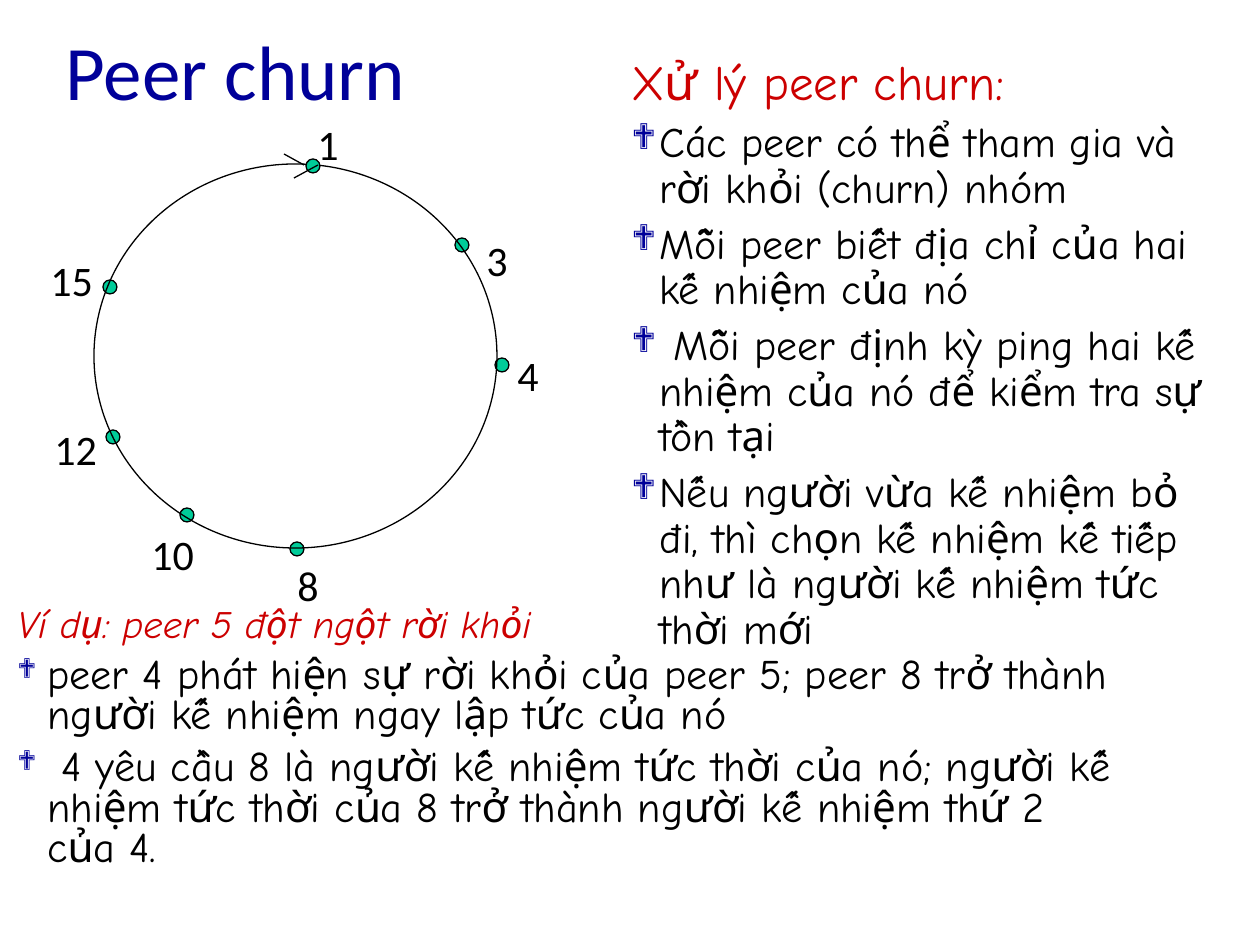
from lxml import etree
from pptx import Presentation
from pptx import util as u
from pptx.dml.color import RGBColor
from pptx.enum import shapes, text
from pptx.oxml.ns import qn

# Content
TITLE = "Peer churn"
HANDLING = ("Xử lý peer churn:", [
    "Các peer có thể tham gia và rời khỏi (churn) nhóm",
    "Mỗi peer biết địa chỉ của hai kế nhiệm của nó",
    " Mỗi peer định kỳ ping hai kế nhiệm của nó để kiểm tra sự tồn tại",
    "Nếu người vừa kế nhiệm bỏ đi, thì chọn kế nhiệm kế tiếp như là người kế nhiệm tức thời mới",
])
EXAMPLE = ("Ví dụ: peer 5 đột ngột rời khỏi", [
    "peer 4 phát hiện sự rời khỏi của peer 5; peer 8 trở thành người kế nhiệm ngay lập tức của nó",
    " 4 yêu cầu 8 là người kế nhiệm tức thời của nó; người kế nhiệm tức thời của 8 trở thành "
    "người kế nhiệm thứ 2 của 4.",
])
# Peer number, dot corner, label corner
PEERS = [
    ("8", (290, 542), (285, 553)),
    ("15", (103, 280), (38, 248)),
    ("12", (106, 430), (42, 417)),
    ("3", (455, 238), (474, 228)),
    ("4", (495, 358), (505, 343)),
    ("10", (180, 508), (139, 522)),
    ("1", (306, 159), (305, 112)),
]
RING = (94, 164, 403, 384)
ARROW_STROKES = [(284, 154, 304, 165), (318, 165, 294, 178)]
DOT = 14

THEME = {
    "blue": "000099", "red": "CC0000", "black": "000000", "green": "00CC99",
    "head_font": "Calibri", "body_font": "Comic Neue",
    "title": 44, "heading": 28, "body": 24, "label": 24,
    "example_heading": 22.2, "example_body": 24.1, "line": 0.75,
}


def px(n):
    return round(n * 914400 / 126)


def colour(name):
    return RGBColor.from_string(THEME[name])


def add_bullet(paragraph, percent, indent):
    props = paragraph._p.get_or_add_pPr()
    props.set("marL", str(px(indent)))
    props.set("indent", str(-px(indent)))
    bullet_colour = etree.SubElement(props, qn("a:buClr"))
    etree.SubElement(bullet_colour, qn("a:srgbClr"), val=THEME["blue"])
    etree.SubElement(props, qn("a:buSzPct"), val=str(percent * 1000))
    etree.SubElement(props, qn("a:buFont"), typeface="Wingdings")
    etree.SubElement(props, qn("a:buChar"), char="❖")


def write(paragraph, words, size, ink="black", font="body_font", italic=False,
          before=0, spacing=None, bullet=None):
    if bullet:
        add_bullet(paragraph, *bullet)
    paragraph.alignment = text.PP_ALIGN.LEFT
    paragraph.space_before = u.Pt(before)
    if spacing:
        paragraph.line_spacing = spacing
    run = paragraph.add_run()
    run.text = words
    run.font.size = u.Pt(THEME[size])
    run.font.name = THEME[font]
    run.font.italic = italic
    run.font.color.rgb = colour(ink)


def add_frame(box, wrap=True):
    frame = slide.shapes.add_textbox(*map(px, box)).text_frame
    frame.word_wrap = wrap
    return frame


def add_ellipse(box, fill=None):
    ellipse = slide.shapes.add_shape(shapes.MSO_SHAPE.OVAL, *map(px, box))
    ellipse.shadow.inherit = False
    if fill:
        ellipse.fill.solid()
        ellipse.fill.fore_color.rgb = colour(fill)
    else:
        ellipse.fill.background()
    ellipse.line.color.rgb = colour("black")
    ellipse.line.width = u.Pt(THEME["line"])


def add_list(box, content, heading_format, item_format):
    heading, items = content
    frame = add_frame(box)
    write(frame.paragraphs[0], heading, ink="red", **heading_format)
    for item in items:
        write(frame.add_paragraph(), item, **item_format)


prs = Presentation()
prs.slide_width, prs.slide_height = u.Inches(10), u.Inches(7.5)
slide = prs.slides.add_slide(prs.slide_layouts[5])

# Title
title = slide.shapes.title
title.left, title.top, title.width, title.height = map(px, (53, 0, 1134, 140))
title.text_frame.vertical_anchor = text.MSO_ANCHOR.MIDDLE
write(title.text_frame.paragraphs[0], TITLE, "title", ink="blue", font="head_font")

# Example below the ring
add_list((5, 602, 1134, 294), EXAMPLE,
         {"size": "example_heading", "italic": True, "spacing": 0.8},
         {"size": "example_body", "spacing": 0.8, "before": 6.5, "bullet": (65, 30)})

# Ring of peers, the first peer on top of the ring line
for number, dot, label in PEERS:
    if number == "1":
        add_ellipse(RING)
    add_ellipse((*dot, DOT, DOT), fill="green")
    label_frame = add_frame((*label, 26 + 21 * len(number), 63), wrap=False)
    write(label_frame.paragraphs[0], number, "label", font="head_font")

# Open arrowhead at the first peer
for stroke in ARROW_STROKES:
    line = slide.shapes.add_connector(shapes.MSO_CONNECTOR.STRAIGHT, *map(px, stroke))
    line.line.color.rgb = colour("black")
    line.line.width = u.Pt(THEME["line"])
    etree.SubElement(line._element.spPr, qn("a:effectLst"))

# Handling of churn
add_list((619, 45, 610, 614), HANDLING,
         {"size": "heading"},
         {"size": "body", "spacing": u.Pt(26), "before": 6, "bullet": (85, 28)})

prs.save("out.pptx")
